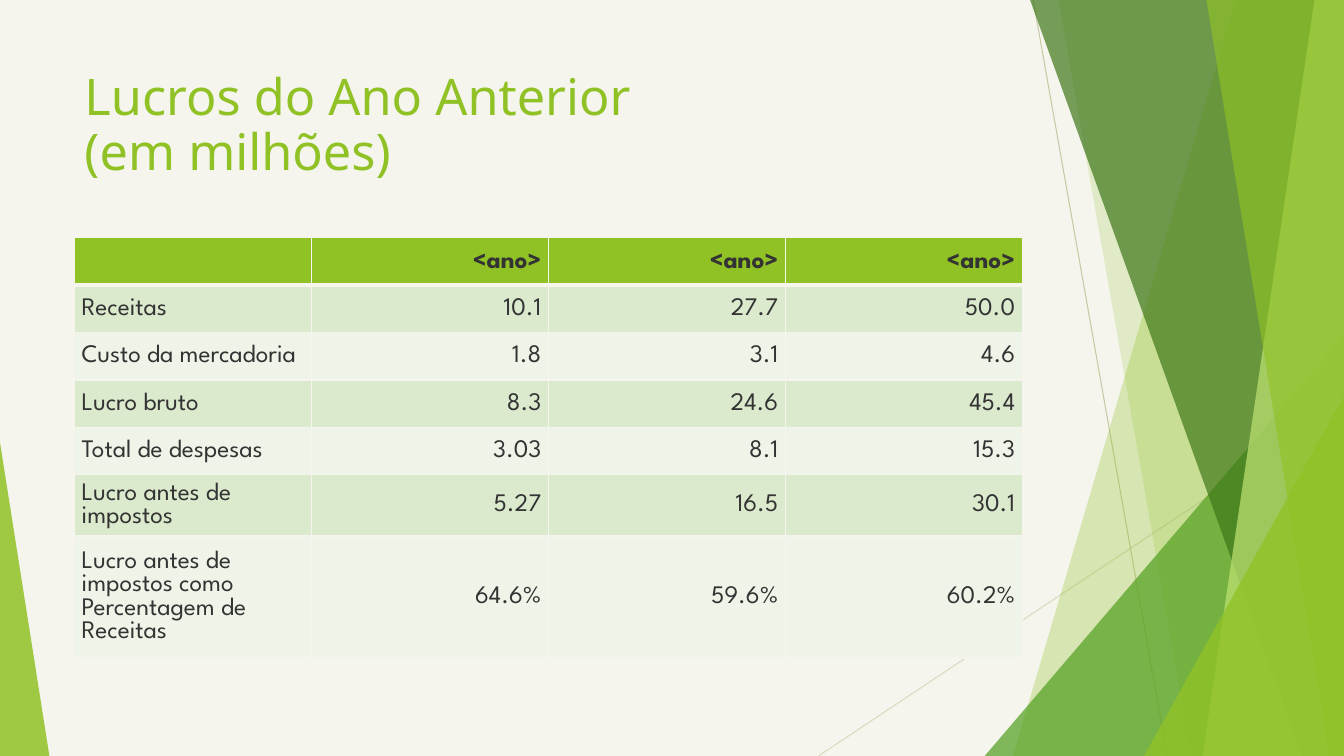
from lxml import etree
from pptx import Presentation
from pptx.dml.color import RGBColor
from pptx.enum.shapes import MSO_CONNECTOR
from pptx.enum.text import MSO_ANCHOR, PP_ALIGN
from pptx.oxml.ns import qn
from pptx.util import Pt

STRAIGHT = MSO_CONNECTOR.STRAIGHT
TOP, MIDDLE = MSO_ANCHOR.TOP, MSO_ANCHOR.MIDDLE
LEFT, RIGHT = PP_ALIGN.LEFT, PP_ALIGN.RIGHT
WIDTH, HEIGHT = 960, 540
GREEN, PAPER, INK = "90C226", "F5F5EE", "333333"
BANDS = ("EEF4E8", "DBE9CD")
MARGIN, CONTENT_WIDTH = 53.28, 676.8
ROW_HEIGHT, LAST_ROW_HEIGHT = 33.84, 75.6

RAYS = [
    ("DADAC0", (584.6, HEIGHT), (WIDTH, 290.2)),
    ("C8C8A2", (738, 0), (833.8, HEIGHT)),
]
FACETS = [
    (GREEN, 30, [(882.7, 0), (723.6, HEIGHT), (WIDTH, HEIGHT), (WIDTH, 0)]),
    (GREEN, 20, [(756, 0), (851, HEIGHT), (WIDTH, HEIGHT), (WIDTH, 0)]),
    ("54A021", 72, [(703.4, HEIGHT), (WIDTH, 239.8), (WIDTH, HEIGHT)]),
    ("3F7819", 70, [(735.8, 0), (930.2, HEIGHT), (WIDTH, HEIGHT), (WIDTH, 0)]),
    ("C0E474", 70, [(938.9, 0), (859, HEIGHT), (WIDTH, HEIGHT), (WIDTH, 0)]),
    (GREEN, 65, [(861.8, 0), (949.7, HEIGHT), (WIDTH, HEIGHT), (WIDTH, 0)]),
    (GREEN, 80, [(817.2, HEIGHT), (WIDTH, 283), (WIDTH, HEIGHT)]),
    (GREEN, 85, [(0, 316.1), (35.3, HEIGHT), (0, HEIGHT)]),
]
PROFITS = [
    ("", "<ano>", "<ano>", "<ano>"),
    ("Receitas", "10.1", "27.7", "50.0"),
    ("Custo da mercadoria", "1.8", "3.1", "4.6"),
    ("Lucro bruto", "8.3", "24.6", "45.4"),
    ("Total de despesas", "3.03", "8.1", "15.3"),
    ("Lucro antes de impostos", "5.27", "16.5", "30.1"),
    ("Lucro antes de impostos como Percentagem de Receitas",
     "64.6%", "59.6%", "60.2%"),
]


def paint(fill, color, opacity=100):
    """Apply a solid colour, with opacity in percent, to a fill."""
    fill.solid()
    fill.fore_color.rgb = RGBColor.from_string(color)
    if opacity < 100:
        tint = fill._xPr.find(qn("a:solidFill"))[0]
        etree.SubElement(tint, qn("a:alpha")).set("val", str(opacity * 1000))


def add_ray(slide, color, start, end):
    """Draw a thin decorative line."""
    ray = slide.shapes.add_connector(
        STRAIGHT, *(Pt(length) for length in start + end))
    paint(ray.line.fill, color)
    ray.line.width = Pt(0.75)
    etree.SubElement(ray._element.spPr, qn("a:effectLst"))


def add_facet(slide, color, opacity, corners):
    """Draw a translucent polygon through the given corners."""
    first, *others = [(Pt(x), Pt(y)) for x, y in corners]
    outline = slide.shapes.build_freeform(*first)
    outline.add_line_segments(others)
    facet = outline.convert_to_shape()
    paint(facet.fill, color, opacity)
    facet.line.fill.background()
    facet.shadow.inherit = False


def style_text(paragraph, font_name, size, color, bold=False):
    """Format every run of a paragraph."""
    for run in paragraph.runs:
        run.font.name = font_name
        run.font.size = Pt(size)
        run.font.bold = bold
        run.font.color.rgb = RGBColor.from_string(color)


def add_title(slide, wording):
    """Place the slide heading."""
    heading = slide.shapes.add_textbox(
        Pt(MARGIN), Pt(48.24), Pt(CONTENT_WIDTH), Pt(103.68)).text_frame
    heading.word_wrap = True
    heading.vertical_anchor = TOP
    heading.text = wording
    paragraph = heading.paragraphs[0]
    paragraph.line_spacing = 0.9
    style_text(paragraph, "Noto Sans", 36, GREEN)


def border_cell(cell, row):
    """Rule all four sides, with a heavier line under the header."""
    properties = cell._tc.get_or_add_tcPr()
    weights = {"L": 1, "R": 1, "T": 3 if row == 1 else 1,
               "B": 3 if row == 0 else 1}
    for position, (side, weight) in enumerate(weights.items()):
        rule = etree.Element(qn("a:ln" + side), w=str(Pt(weight)))
        ink = etree.SubElement(rule, qn("a:solidFill"))
        etree.SubElement(ink, qn("a:srgbClr")).set("val", PAPER)
        properties.insert(position, rule)


def fill_cell(cell, row, column, wording):
    """Write and format one table cell."""
    cell.text = wording
    cell.vertical_anchor = MIDDLE
    cell.margin_left = cell.margin_right = Pt(5)
    cell.margin_top, cell.margin_bottom = Pt(0.7), 0
    paragraph = cell.text_frame.paragraphs[0]
    paragraph.alignment = RIGHT if column else LEFT
    style_text(paragraph, "League Spartan", 18, INK, bold=row == 0)
    paint(cell.fill, BANDS[row % 2] if row else GREEN)
    border_cell(cell, row)


def add_profit_table(slide, records):
    """Build the table of yearly profits."""
    heights = [ROW_HEIGHT] * (len(records) - 1) + [LAST_ROW_HEIGHT]
    profits = slide.shapes.add_table(
        len(records), len(records[0]), Pt(MARGIN), Pt(169.92),
        Pt(CONTENT_WIDTH), Pt(sum(heights))).table
    for row, record in enumerate(records):
        profits.rows[row].height = Pt(heights[row])
        for column, wording in enumerate(record):
            fill_cell(profits.cell(row, column), row, column, wording)


def main():
    """Build and save the slide."""
    deck = Presentation()
    deck.slide_width, deck.slide_height = Pt(WIDTH), Pt(HEIGHT)
    slide = deck.slides.add_slide(deck.slide_layouts[6])
    paint(slide.background.fill, PAPER)
    for ray in RAYS:
        add_ray(slide, *ray)
    for facet in FACETS:
        add_facet(slide, *facet)
    add_title(slide, "Lucros do Ano Anterior\v(em milhões)")
    add_profit_table(slide, PROFITS)
    deck.save("out.pptx")


main()
